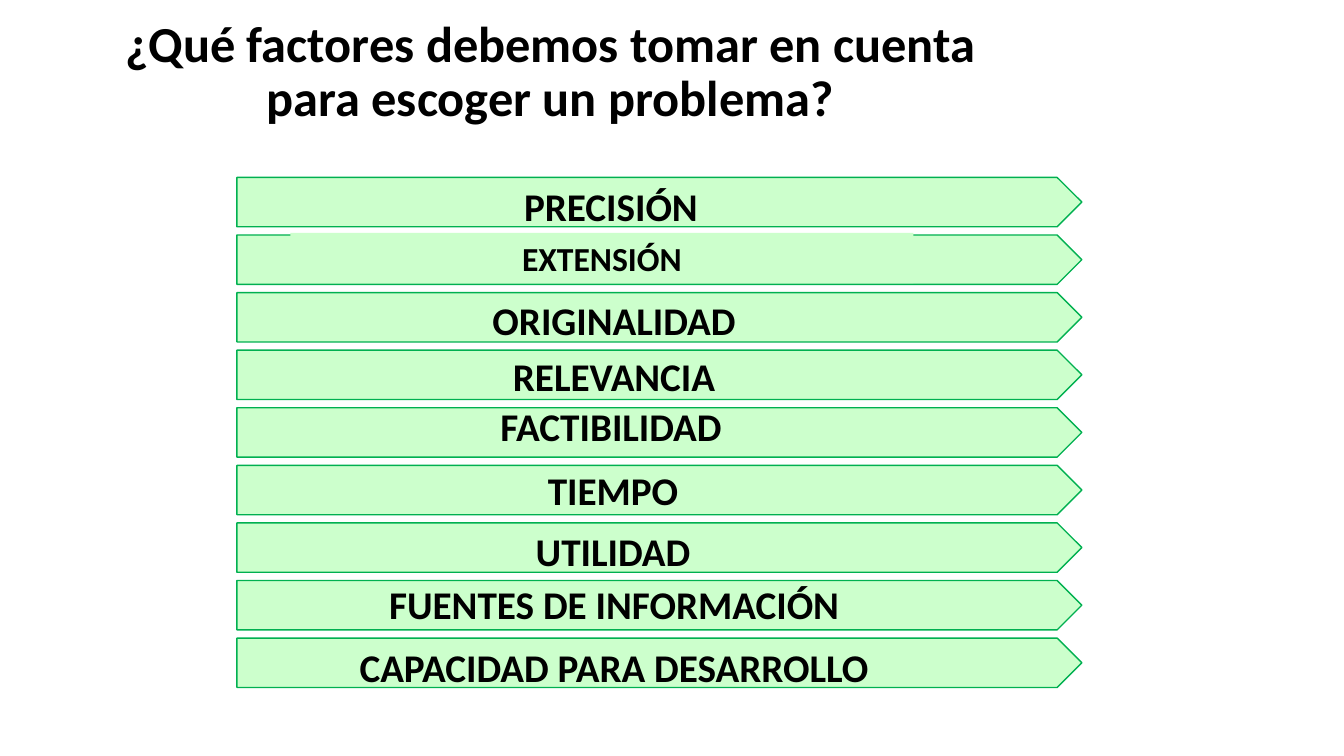
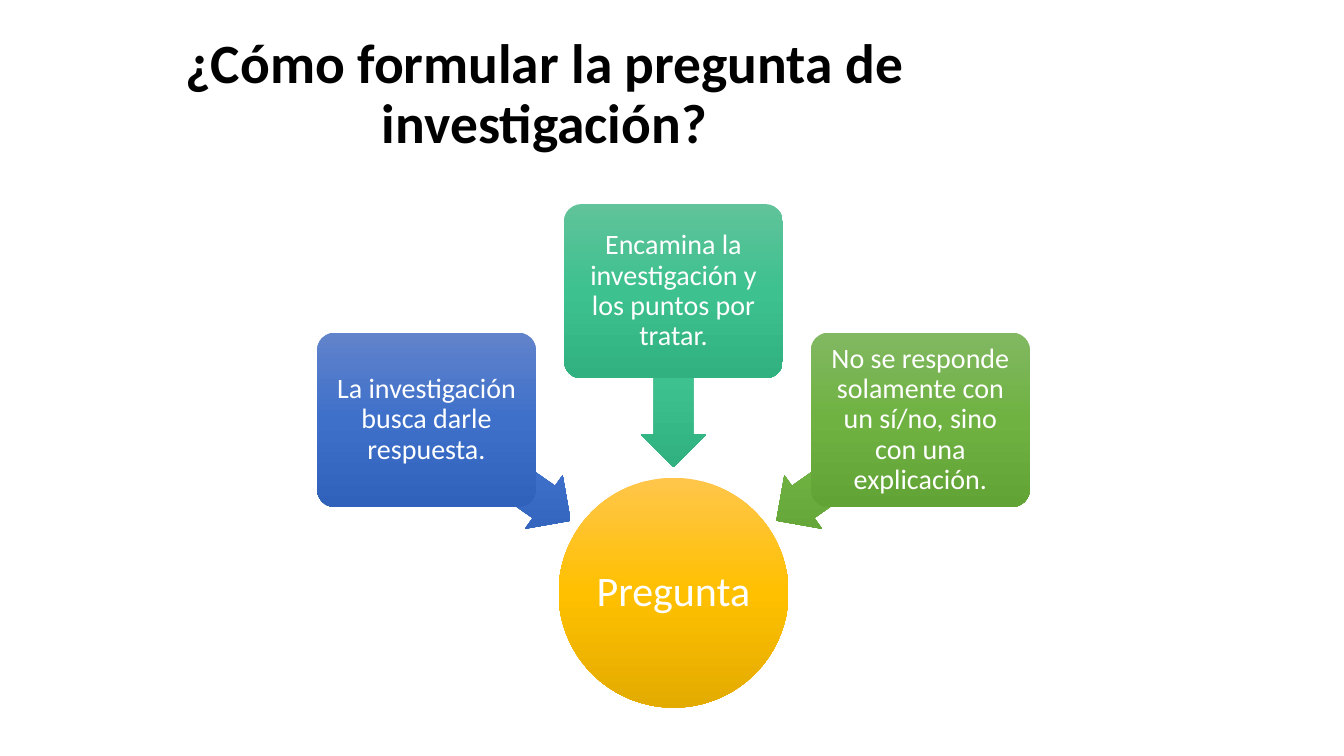
from copy import deepcopy
from dataclasses import dataclass
from math import cos, radians, sin

from pptx import Presentation
from pptx.dml.color import RGBColor
from pptx.enum.shapes import MSO_SHAPE as Shape
from pptx.enum.text import MSO_ANCHOR as Anchor, MSO_AUTO_SIZE as AutoSize, PP_ALIGN as Align
from pptx.oxml.ns import qn
from pptx.util import Inches, Pt


@dataclass(frozen=True)
class Theme:
    font: str = "Calibri"
    ink: str = "000000"
    light: str = "FFFFFF"
    band: str = "CCFFCC"
    band_line: str = "00B050"
    amber: tuple = ("FFC64B", "FFC000", "E3AB00")
    blue: tuple = ("6183CB", "3E70CA", "3062BB")
    teal: tuple = ("60C39A", "3DC18F", "31B080")
    green: tuple = ("81B861", "6FB242", "62A336")
    label_size: float = 28
    small_label_size: float = 24
    node_size: float = 20
    hub_size: float = 30


class SlideBuilder:
    def __init__(self, deck, theme):
        self.deck = deck
        self.theme = theme
        self.page = None

    def new_page(self, title, left, top, width, height, size):
        self.page = self.deck.slides.add_slide(self.deck.slide_layouts[5])
        box = self.page.shapes.title
        box.left, box.top = Inches(left), Inches(top)
        box.width, box.height = Inches(width), Inches(height)
        self.set_text(box, title, size, self.theme.ink, bold=True, spacing=0.9)

    def set_text(self, box, text, size, color, bold=False, anchor=Anchor.MIDDLE,
                 spacing=1.0, margin=None):
        frame = box.text_frame
        frame.text = text
        frame.word_wrap = True
        frame.auto_size = AutoSize.NONE
        frame.vertical_anchor = anchor
        if margin is not None:
            frame.margin_left = frame.margin_right = Inches(margin)
            frame.margin_top = frame.margin_bottom = Inches(margin)
        para = frame.paragraphs[0]
        para.alignment = Align.CENTER
        para.line_spacing = spacing
        font = para.runs[0].font
        font.name, font.size, font.bold = self.theme.font, Pt(size), bold
        font.color.rgb = RGBColor.from_string(color)

    def shape(self, kind, left, top, width, height, fill, line=None):
        """Add a shape; fill is one colour or a tuple of gradient colours."""
        shape = self.page.shapes.add_shape(
            kind, Inches(left), Inches(top), Inches(width), Inches(height))
        shape.shadow.inherit = False
        if isinstance(fill, tuple):
            self.shade(shape, fill)
        else:
            shape.fill.solid()
            shape.fill.fore_color.rgb = RGBColor.from_string(fill)
        if line:
            shape.line.color.rgb = RGBColor.from_string(line)
            shape.line.width = Pt(1)
        else:
            shape.line.fill.background()
        return shape

    def shade(self, shape, colors):
        """Fill from top to bottom, whatever the shape's rotation."""
        shape.fill.gradient()
        shape.fill.gradient_angle = 270
        gradient = shape.element.spPr.find(qn("a:gradFill"))
        gradient.set("rotWithShape", "0")
        stop_list = gradient.find(qn("a:gsLst"))
        while len(stop_list) < len(colors):
            stop_list.append(deepcopy(stop_list[0]))
        for index, (stop, color) in enumerate(zip(shape.fill.gradient_stops, colors)):
            stop.position = index / (len(colors) - 1)
            stop.color.rgb = RGBColor.from_string(color)

    def centred(self, kind, x, y, width, height, fill):
        return self.shape(kind, x - width / 2, y - height / 2, width, height, fill)

    def band(self, top):
        self.shape(Shape.PENTAGON, 2.35, top, 8.38, 0.49,
                   self.theme.band, self.theme.band_line)

    def label(self, text, left, top):
        box = self.page.shapes.add_textbox(
            Inches(left), Inches(top), Inches(6), Inches(0.57))
        self.set_text(box, text, self.theme.label_size, self.theme.ink,
                      bold=True, anchor=Anchor.TOP)

    def filled_label(self, text, left, top):
        box = self.shape(Shape.RECTANGLE, left, top, 6.18, 0.5, self.theme.band)
        self.set_text(box, text, self.theme.small_label_size, self.theme.ink,
                      bold=True, anchor=Anchor.TOP)

    def hub(self, text, x, y):
        circle = self.centred(Shape.OVAL, x, y, 2.28, 2.28, self.theme.amber)
        self.set_text(circle, text, self.theme.hub_size, self.theme.light,
                      spacing=0.9, margin=0.02)

    def node(self, text, hub_x, hub_y, angle, colors):
        """Place a box at an angle around the hub, with an arrow pointing inwards."""
        across, down = cos(radians(angle)), sin(radians(angle))
        arrow = self.centred(Shape.LEFT_ARROW, hub_x + 2.12 * across,
                             hub_y + 2.12 * down, 1.75, 0.65, colors)
        arrow.adjustments[0], arrow.adjustments[1] = 0.6, 0.5
        arrow.rotation = angle
        box = self.centred(Shape.ROUNDED_RECTANGLE, hub_x + 2.99 * across,
                           hub_y + 2.99 * down, 2.17, 1.73, colors)
        box.adjustments[0] = 0.1
        self.set_text(box, text, self.theme.node_size, self.theme.light,
                      spacing=0.9, margin=0.04)


def add_factors(builder):
    builder.new_page("¿Qué factores debemos tomar en cuenta para escoger un problema?",
                     0.97, 0, 8.98, 1.45, 36)
    factors = [
        ("PRECISIÓN", 3.06, 1.76, builder.label),
        ("EXTENSIÓN", 2.88, 2.31, builder.filled_label),
        ("ORIGINALIDAD", 3.09, 2.89, builder.label),
        ("RELEVANCIA", 3.09, 3.45, builder.label),
        ("FACTIBILIDAD", 3.06, 3.94, builder.label),
        ("TIEMPO", 3.08, 4.58, builder.label),
        ("UTILIDAD", 3.08, 5.18, builder.label),
        ("FUENTES DE INFORMACIÓN", 3.09, 5.71, builder.label),
        ("CAPACIDAD PARA DESARROLLO", 3.09, 6.33, builder.label),
    ]
    first_top, last_top = 1.76, 6.33
    pitch = (last_top - first_top) / (len(factors) - 1)
    for row, (text, left, top, add_label) in enumerate(factors):
        builder.band(first_top + row * pitch)
        add_label(text, left, top)


def add_question(builder):
    theme = builder.theme
    builder.new_page("¿Cómo formular la pregunta de investigación?",
                     0.92, 0.4, 8.96, 1.1, 39.6)
    hub_x, hub_y = 6.68, 5.88
    builder.hub("Pregunta", hub_x, hub_y)
    nodes = [
        ("La investigación busca darle respuesta.", theme.blue),
        ("Encamina la investigación y los puntos por tratar.", theme.teal),
        ("No se responde solamente con un sí/no, sino con una explicación.", theme.green),
    ]
    for index, (text, colors) in enumerate(nodes):
        builder.node(text, hub_x, hub_y, 215 + 55 * index, colors)


def main():
    deck = Presentation()
    deck.slide_width, deck.slide_height = Inches(13.33), Inches(7.5)
    builder = SlideBuilder(deck, Theme())
    add_factors(builder)
    add_question(builder)
    deck.save("out.pptx")


if __name__ == "__main__":
    main()
